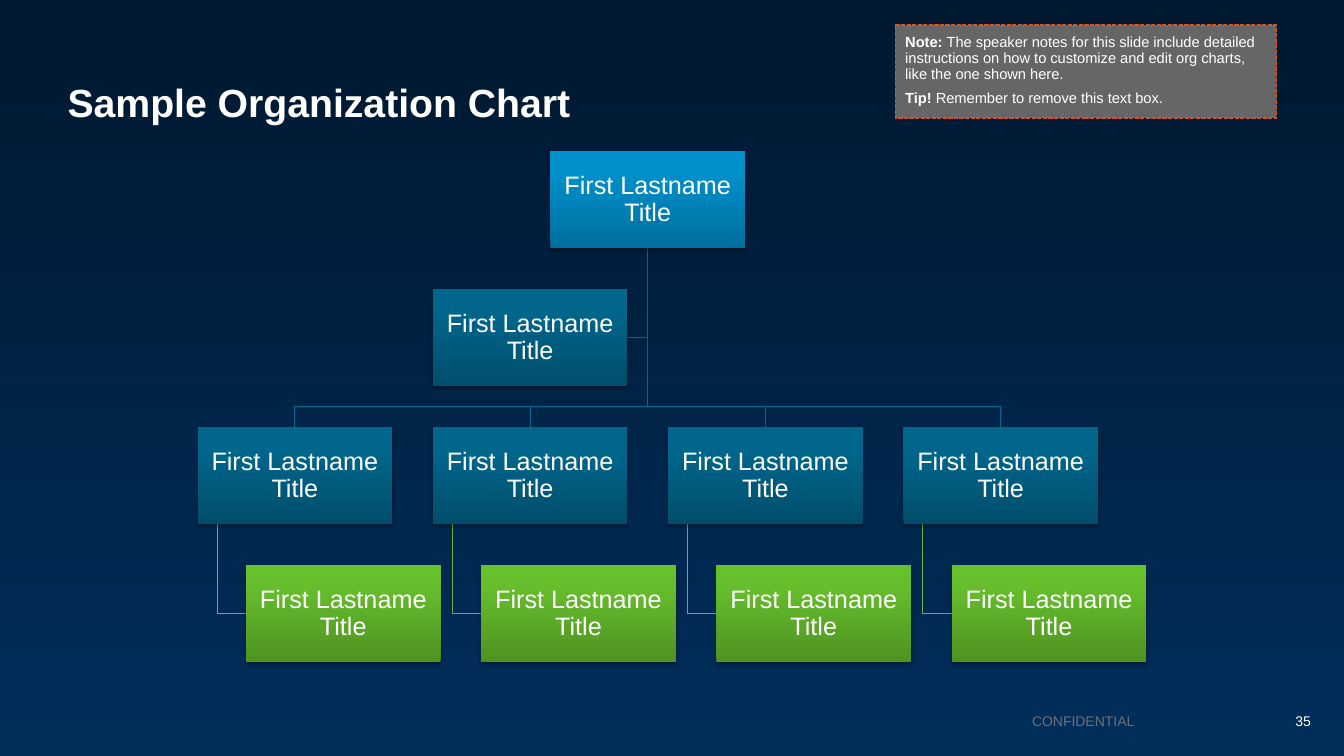
from pptx import Presentation
from pptx.dml.color import RGBColor
from pptx.enum.dml import MSO_LINE
from pptx.enum.shapes import MSO_SHAPE
from pptx.enum.text import MSO_ANCHOR, MSO_AUTO_SIZE, PP_ALIGN
from pptx.oxml.ns import qn
from pptx.util import Inches, Pt
from copy import deepcopy
from lxml import etree

RECTANGLE, DASHED = MSO_SHAPE.RECTANGLE, MSO_LINE.SQUARE_DOT
TOP, MIDDLE, BOTTOM = MSO_ANCHOR.TOP, MSO_ANCHOR.MIDDLE, MSO_ANCHOR.BOTTOM
LEFT, CENTER, RIGHT = PP_ALIGN.LEFT, PP_ALIGN.CENTER, PP_ALIGN.RIGHT
FIXED_SIZE = MSO_AUTO_SIZE.NONE

WIDTH, HEIGHT = Inches(13.33), Inches(7.5)
GRID_LEFT, GRID_TOP = 1.96, 1.5
COLUMN, ROW = 7 / 3, 1.37
BOX_WIDTH, BOX_HEIGHT = 1.93, 0.96
REPORT_SHIFT = 0.48 / COLUMN
COLUMNS = range(4)

COLOURS = {
    "white": "FFFFFF", "footer": "717074", "note": "666666", "note edge": "D9541E",
    "staff line": "006990", "report line": "6DB33F", "shadow": "000000",
}
GRADIENTS = {
    "page": [(0, "001830"), (1, "002E5B")],
    "leader": [(0, "006F9D"), (0.8, "0090CC"), (1, "0091CD")],
    "staff": [(0, "004E6B"), (0.8, "00668C"), (1, "00668C")],
    "report": [(0, "4F9322"), (0.8, "66BE2C"), (1, "66C22A")],
}
PERSON = [[("First Lastname Title", False)]]
NOTE = [
    [("Note: ", True),
     ("The speaker notes for this slide include detailed instructions on how to "
      "customize and edit org charts, like the one shown here.", False)],
    [("Tip! ", True), ("Remember to remove this text box.", False)],
]


def colour(name):
    """Return the named colour."""
    return RGBColor.from_string(COLOURS[name])


def share(left, top, width, height):
    """Turn percentages of the slide into a position and a size."""
    return [int(part * whole / 100) for part, whole in
            zip((left, top, width, height), (WIDTH, HEIGHT, WIDTH, HEIGHT))]


def spot(column, row, across=0, down=0):
    """Return a point in a grid cell, given as shares of its box."""
    return (Inches(GRID_LEFT + column * COLUMN + across * BOX_WIDTH),
            Inches(GRID_TOP + row * ROW + down * BOX_HEIGHT))


def set_all(target, values):
    """Set every attribute in the dict of values."""
    for name, value in values.items():
        setattr(target, name, value)


def write(shape, paragraphs, size, align=LEFT, anchor=MIDDLE, margin=0,
          ink="white", spacing=0.9, before=0):
    """Write paragraphs of (text, bold) spans into a shape."""
    frame = shape.text_frame
    set_all(frame, {"word_wrap": True, "auto_size": FIXED_SIZE,
                    "vertical_anchor": anchor})
    set_all(frame, {f"margin_{side}": Inches(margin)
                    for side in ("left", "top", "right", "bottom")})
    for index, spans in enumerate(paragraphs):
        para = frame.add_paragraph() if index else frame.paragraphs[0]
        set_all(para, {"alignment": align, "line_spacing": spacing,
                       "space_before": Pt(before)})
        for text, bold in spans:
            span = para.add_run()
            span.text = text
            set_all(span.font, {"name": "Arial", "size": Pt(size), "bold": bold})
            span.font.color.rgb = colour(ink)


def paint_gradient(element, fill, name, angle):
    """Fill with the stops of a named gradient."""
    fill.gradient()
    fill.gradient_angle = angle
    stop_list = element.find(".//" + qn("a:gsLst"))
    stops = GRADIENTS[name]
    for _ in stops[2:]:
        stop_list.append(deepcopy(stop_list[-1]))
    for stop, (position, code) in zip(fill.gradient_stops, stops):
        stop.position = position
        stop.color.rgb = RGBColor.from_string(code)


def add_shadow(box):
    """Give a box a soft shadow below it."""
    box.shadow.inherit = False
    effects = box.element.spPr.find(qn("a:effectLst"))
    shadow = etree.SubElement(effects, qn("a:outerShdw"), blurRad=str(Pt(3.1)),
                              dist=str(Pt(1.8)), dir="5400000", rotWithShape="0")
    tint = etree.SubElement(shadow, qn("a:srgbClr"), val=COLOURS["shadow"])
    etree.SubElement(tint, qn("a:alpha"), val="35000")


def add_person(page, column, row, kind):
    """Add one box of the chart at a grid place."""
    box = page.shapes.add_shape(RECTANGLE, *spot(column, row),
                                Inches(BOX_WIDTH), Inches(BOX_HEIGHT))
    paint_gradient(box.element, box.fill, kind, 90)
    box.line.fill.background()
    add_shadow(box)
    write(box, PERSON, 18, CENTER, margin=0.01)


def add_branch(page, points, ink):
    """Add an open bent line through the points."""
    builder = page.shapes.build_freeform(*points[0])
    builder.add_line_segments(points[1:], close=False)
    branch = builder.convert_to_shape()
    branch.fill.background()
    branch.line.color.rgb = colour(ink)
    branch.line.width = Pt(0.75)
    branch.shadow.inherit = False


def add_label(page, place, text, align, ink):
    """Add a one-line footer label."""
    label = page.shapes.add_textbox(*share(*place))
    write(label, [[(text, False)]], 10, align, ink=ink, spacing=1.0)


def add_note(page):
    """Add the dashed note box."""
    box = page.shapes.add_shape(RECTANGLE, *share(66.62, 3.33, 28.36, 12.27))
    box.fill.solid()
    box.fill.fore_color.rgb = colour("note")
    box.line.color.rgb = colour("note edge")
    set_all(box.line, {"width": Pt(1), "dash_style": DASHED})
    box.shadow.inherit = False
    write(box, NOTE, 10.5, anchor=TOP, margin=0.1, before=6)


def add_chart_tree(page):
    """Add the branches and the boxes of the organization chart."""
    start = spot(1.5, 0, 0.5, 1)
    trunk = start[0]
    bar = (spot(0, 1, 0, 1)[1] + spot(0, 2)[1]) // 2
    assistant = spot(1, 1, 1, 0.5)
    add_branch(page, [start, (trunk, assistant[1]), assistant], "staff line")
    for column in COLUMNS:
        head = spot(column, 2, 0.5)
        add_branch(page, [start, (trunk, bar), (head[0], bar), head], "staff line")
        stem = spot(column, 2, 0.1, 1)
        side = spot(column + REPORT_SHIFT, 3, 0, 0.5)
        add_branch(page, [stem, (stem[0], side[1]), side], "report line")
    add_person(page, 1.5, 0, "leader")
    for column in COLUMNS:
        add_person(page, column, 2, "staff")
        add_person(page, column + REPORT_SHIFT, 3, "report")
    add_person(page, 1, 1, "staff")


def main():
    """Build and save the slide."""
    deck = Presentation()
    set_all(deck, {"slide_width": WIDTH, "slide_height": HEIGHT})
    page = deck.slides.add_slide(deck.slide_layouts[5])
    paint_gradient(page.element, page.background.fill, "page", 270)
    title = page.shapes.title
    set_all(title, dict(zip(("left", "top", "width", "height"),
                            share(5.03, 4.8, 90, 11.87))))
    write(title, [[("Sample Organization Chart", True)]], 28, anchor=BOTTOM)
    add_label(page, (41.86, 94.27, 42.54, 2.13), "CONFIDENTIAL", RIGHT, "footer")
    add_label(page, (95.12, 94.27, 3.68, 2.13), "35", CENTER, "white")
    add_chart_tree(page)
    add_note(page)
    deck.save("out.pptx")


if __name__ == "__main__":
    main()
